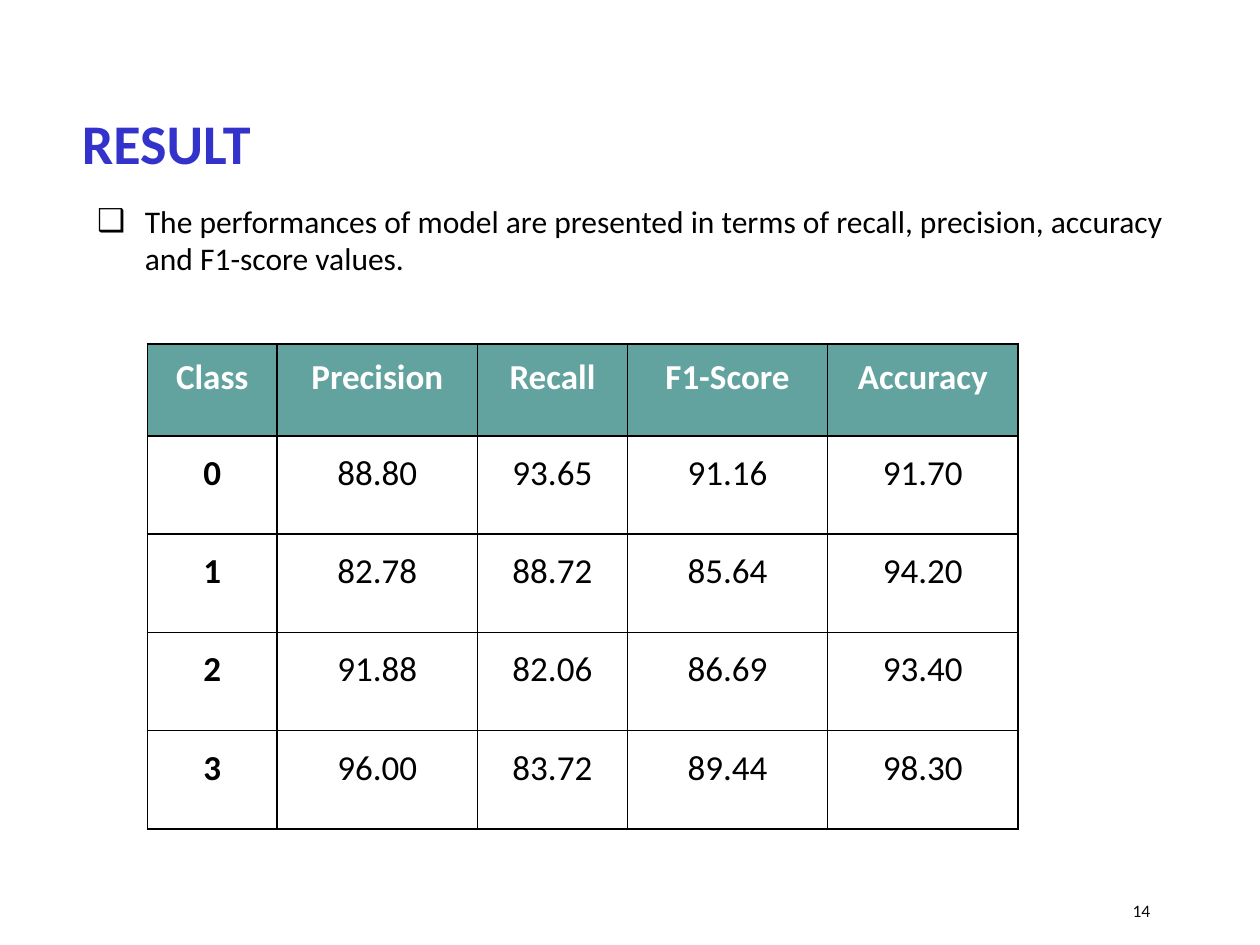
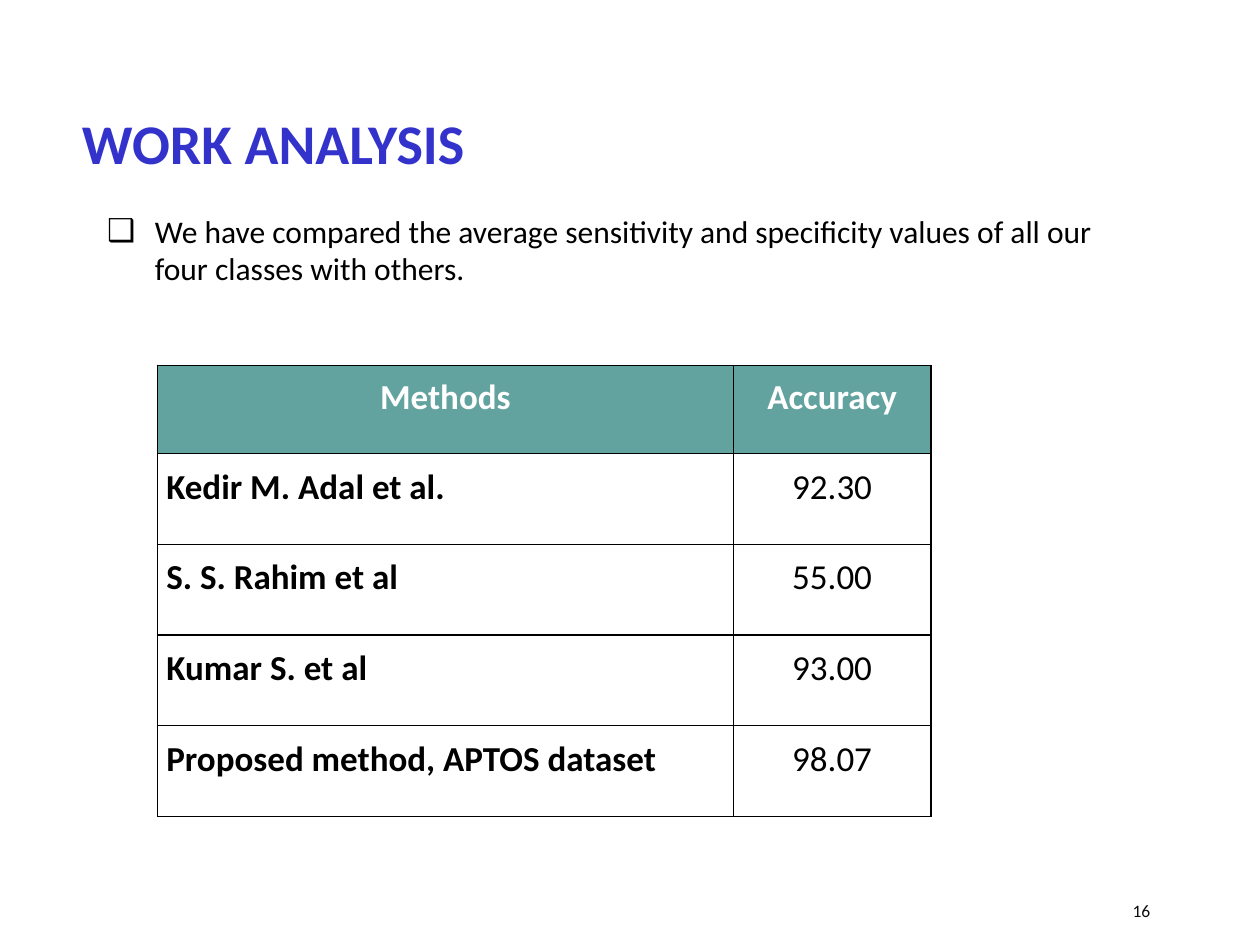
from lxml import etree
from pptx import Presentation
from pptx.dml.color import RGBColor
from pptx.enum.text import MSO_ANCHOR, MSO_AUTO_SIZE, PP_ALIGN
from pptx.oxml.ns import qn
from pptx.util import Inches, Pt

LEFT, CENTER = PP_ALIGN.LEFT, PP_ALIGN.CENTER
TOP, MIDDLE = MSO_ANCHOR.TOP, MSO_ANCHOR.MIDDLE
NO_AUTOSIZE = MSO_AUTO_SIZE.NONE

FONT = "Calibri"
BLUE = RGBColor(0x33, 0x33, 0xCC)
TEAL = RGBColor(0x62, 0xA3, 0x9F)
BLACK = RGBColor(0x00, 0x00, 0x00)
NEAR_BLACK = RGBColor(0x0D, 0x0D, 0x0D)
WHITE = RGBColor(0xFF, 0xFF, 0xFF)

SLIDES = [
    {
        "title": "RESULT",
        "number": "14",
        "bullet": "The performances of model are presented in terms of recall, "
                  "precision, accuracy and F1-score values.",
        "bullet_box": (0.67, 1.55, 8.67, 0.91),
        "table_at": (1.17, 2.73),
        "columns": [1.03, 1.59, 1.19, 1.59, 1.51],
        "header_height": 0.73,
        "row_height": 0.78,
        "label_align": CENTER,
        "rows": [
            ["Class", "Precision", "Recall", "F1-Score", "Accuracy"],
            ["0", "88.80", "93.65", "91.16", "91.70"],
            ["1", "82.78", "88.72", "85.64", "94.20"],
            ["2", "91.88", "82.06", "86.69", "93.40"],
            ["3", "96.00", "83.72", "89.44", "98.30"],
        ],
    },
    {
        "title": "WORK ANALYSIS",
        "number": "16",
        "bullet": "We have compared the average sensitivity and specificity values "
                  "of all our four classes with others.",
        "bullet_box": (0.75, 1.63, 8.33, 0.91),
        "table_at": (1.25, 2.9),
        "columns": [4.57, 1.57],
        "header_height": 0.7,
        "row_height": 0.72,
        "label_align": LEFT,
        "rows": [
            ["Methods", "Accuracy"],
            ["Kedir M. Adal et al.", "92.30"],
            ["S. S. Rahim et al", "55.00"],
            ["Kumar S. et al", "93.00"],
            ["Proposed method, APTOS dataset", "98.07"],
        ],
    },
]


def write(tf, text, size, color, bold=False, align=LEFT):
    """Fill a text frame with one formatted paragraph and return it."""
    tf.text = text
    tf.word_wrap = True
    p = tf.paragraphs[0]
    p.alignment = align
    p.space_before = Pt(0)
    font = p.runs[0].font
    font.name, font.size, font.bold = FONT, Pt(size), bold
    font.color.rgb = color
    return p


def add_borders(cell):
    tcPr = cell._tc.get_or_add_tcPr()
    for side in ("a:lnL", "a:lnR", "a:lnT", "a:lnB"):
        ln = etree.SubElement(tcPr, qn(side), w=str(Pt(1)))
        fill = etree.SubElement(ln, qn("a:solidFill"))
        etree.SubElement(fill, qn("a:srgbClr"), val=str(BLACK))


prs = Presentation()
prs.slide_width, prs.slide_height = Inches(10), Inches(7.5)
title_and_content = prs.slide_layouts[1]

for content in SLIDES:
    slide = prs.slides.add_slide(title_and_content)

    title = slide.shapes.title
    title.left, title.top = Inches(0.55), Inches(0.81)
    title.width, title.height = Inches(8.67), Inches(0.63)
    write(title.text_frame, content["title"], 32, BLUE, bold=True)
    title.text_frame.vertical_anchor = MIDDLE
    title.text_frame.auto_size = NO_AUTOSIZE

    body = slide.placeholders[1]
    body.left, body.top, body.width, body.height = map(Inches, content["bullet_box"])
    p = write(body.text_frame, content["bullet"], 18, BLACK)
    body.text_frame.vertical_anchor = TOP
    body.text_frame.auto_size = NO_AUTOSIZE
    pPr = p._p.get_or_add_pPr()
    pPr.set("marL", str(Inches(0.38)))
    pPr.set("indent", str(Inches(-0.38)))
    etree.SubElement(pPr, qn("a:buChar"), char="❑")

    number = slide.shapes.add_textbox(Inches(8.89), Inches(7.08), Inches(0.8), Inches(0.3))
    write(number.text_frame, content["number"], 10, NEAR_BLACK)
    number.text_frame.vertical_anchor = MIDDLE

    rows, columns = content["rows"], content["columns"]
    heights = [content["header_height"]] + [content["row_height"]] * (len(rows) - 1)
    left, top = content["table_at"]
    table = slide.shapes.add_table(
        len(rows), len(columns), Inches(left), Inches(top),
        Inches(sum(columns)), Inches(sum(heights))).table
    for column, width in zip(table.columns, columns):
        column.width = Inches(width)

    for i, (values, height) in enumerate(zip(rows, heights)):
        table.rows[i].height = Inches(height)
        is_header = i == 0
        for j, value in enumerate(values):
            is_label = j == 0 and not is_header
            align = content["label_align"] if is_label else CENTER
            cell = table.cell(i, j)
            cell.margin_left = Inches(0.07 if align == LEFT else 0)
            cell.margin_right = cell.margin_top = cell.margin_bottom = 0
            cell.vertical_anchor = MIDDLE
            add_borders(cell)
            cell.fill.solid()
            cell.fill.fore_color.rgb = TEAL if is_header else WHITE
            p = write(cell.text_frame, value, 20, WHITE if is_header else BLACK,
                      bold=is_header or is_label, align=align)
            p.line_spacing = Pt(10.8 if is_header else 11.2)

prs.save("out.pptx")
